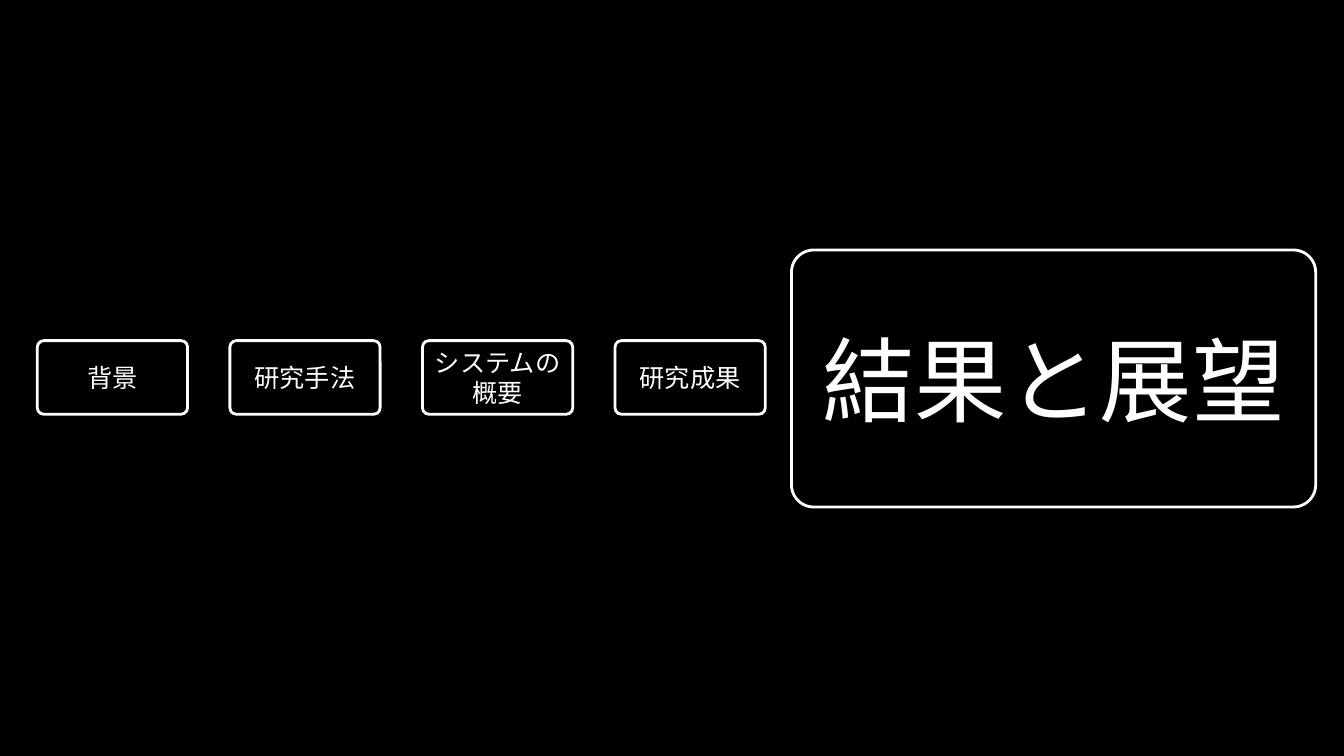
from dataclasses import dataclass

import lxml.etree
import pptx
import pptx.dml.color
import pptx.enum.shapes
import pptx.enum.text
import pptx.oxml.ns
import pptx.slide
import pptx.util

BLACK = pptx.dml.color.RGBColor(0x00, 0x00, 0x00)
WHITE = pptx.dml.color.RGBColor(0xFF, 0xFF, 0xFF)
FONT_NAME = "Noto Sans CJK JP"
CORNER = 0.087
STEP_LEFT, STEP_PITCH = 0.37, 1.91


@dataclass
class Chapter:
    title: str
    left: float
    top: float = 3.38
    width: float = 1.49
    height: float = 0.73
    size: int = 18


def add_chapter(slide: pptx.slide.Slide, chapter: Chapter) -> None:
    box = slide.shapes.add_shape(
        pptx.enum.shapes.MSO_SHAPE.ROUNDED_RECTANGLE,
        *map(pptx.util.Inches, (chapter.left, chapter.top, chapter.width, chapter.height)),
    )
    box.adjustments[0] = CORNER
    box.shadow.inherit = False
    box.fill.background()
    box.line.color.rgb = WHITE
    box.line.width = pptx.util.Pt(2)

    frame = box.text_frame
    frame.word_wrap = True
    frame.vertical_anchor = pptx.enum.text.MSO_ANCHOR.MIDDLE
    paragraph = frame.paragraphs[0]
    paragraph.alignment = pptx.enum.text.PP_ALIGN.CENTER
    title = paragraph.add_run()
    title.text = chapter.title
    title.font.color.rgb = WHITE
    font_format = {"name": FONT_NAME, "size": pptx.util.Pt(chapter.size)}
    for attribute, value in font_format.items():
        setattr(title.font, attribute, value)
    # Japanese glyphs take the East Asian typeface, which follows a:latin
    latin = title.font._element.find(pptx.oxml.ns.qn("a:latin"))
    east_asian = lxml.etree.Element(pptx.oxml.ns.qn("a:ea"), typeface=FONT_NAME)
    latin.addnext(east_asian)


def main() -> None:
    deck = pptx.Presentation()
    deck.slide_width = pptx.util.Inches(13.33)
    deck.slide_height = pptx.util.Inches(7.5)
    agenda = deck.slides.add_slide(deck.slide_layouts[6])
    agenda.background.fill.solid()
    agenda.background.fill.fore_color.rgb = BLACK

    titles = ("背景", "研究手法", "システムの概要", "研究成果")
    chapters = [
        Chapter(title, STEP_LEFT + index * STEP_PITCH)
        for index, title in enumerate(titles)
    ]
    chapters.append(Chapter("結果と展望", 7.85, 2.48, 5.2, 2.55, 66))
    for chapter in chapters:
        add_chapter(agenda, chapter)

    deck.save("out.pptx")


if __name__ == "__main__":
    main()
